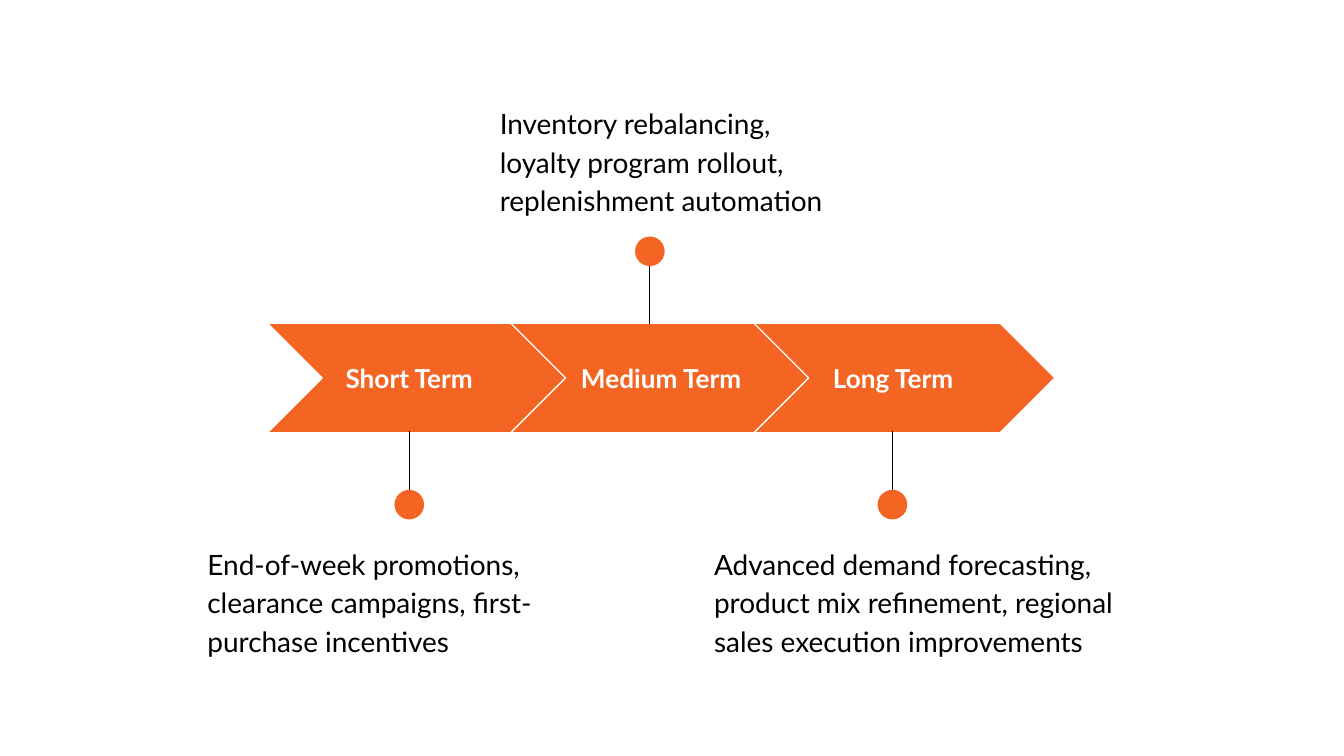
from pptx import Presentation
from pptx.dml.color import RGBColor
from pptx.enum.shapes import MSO_CONNECTOR, MSO_SHAPE
from pptx.enum.text import MSO_ANCHOR, PP_ALIGN
from pptx.oxml.ns import qn
from pptx.util import Pt
from lxml import etree

CHEVRON, OVAL = MSO_SHAPE.CHEVRON, MSO_SHAPE.OVAL
LINE = MSO_CONNECTOR.STRAIGHT
TOP, MIDDLE = MSO_ANCHOR.TOP, MSO_ANCHOR.MIDDLE
LEFT, CENTER = PP_ALIGN.LEFT, PP_ALIGN.CENTER

SCALE = 4572  # EMU per px, 200 px to the inch
ORANGE, WHITE, BLACK = "F46524", "FFFFFF", "000000"
FIRST, STEP = 398, 362
BAND_TOP, BAND_W, BAND_H = 481, 448, 163
DOT = 44

# label, label left, pin centre, pin goes up, note, note box, space after
STAGES = [
    ("Short Term", 465, 609, False,
     "End-of-week promotions, clearance campaigns, first-purchase incentives",
     (289, 787, 536, 216), 16),
    ("Medium Term", 840, 967, True,
     "Inventory rebalancing, loyalty program rollout, replenishment automation",
     (724, 131, 542, 198), 0),
    ("Long Term", 1185, 1328, False,
     "Advanced demand forecasting, product mix refinement, "
     "regional sales execution improvements",
     (1043, 787, 634, 198), 16),
]


def px(*nums):
    return [n * SCALE for n in nums]


def color(code):
    return RGBColor.from_string(code)


def add_form(slide, kind, box, fill, edge=None):
    form = slide.shapes.add_shape(kind, *px(*box))
    form.shadow.inherit = False
    form.fill.solid()
    form.fill.fore_color.rgb = color(fill)
    if edge:
        form.line.color.rgb = color(edge)
        form.line.width = Pt(0.75)
    else:
        form.line.fill.background()


def add_text(slide, box, text, size=15, ink=BLACK, bold=False,
             align=LEFT, anchor=TOP, space=1.0, after=0):
    frame = slide.shapes.add_textbox(*px(*box)).text_frame
    frame.word_wrap = True
    frame.vertical_anchor = anchor
    (frame.margin_left, frame.margin_top,
     frame.margin_right, frame.margin_bottom) = px(20, 20, 20, 20)
    para = frame.paragraphs[0]
    para.alignment = align
    para.line_spacing = space
    para.space_after = Pt(after)
    run = para.add_run()
    run.text = text
    run.font.name = "Lato"
    run.font.size = Pt(size)
    run.font.bold = bold
    run.font.color.rgb = color(ink)


def add_pin(slide, mid, up):
    """Draw a line from the band's edge to a dot centred on mid."""
    start, end, top = (360, 482, 352) if up else (764, 642, 729)
    line = slide.shapes.add_connector(LINE, *px(mid, start, mid, end))
    line.line.color.rgb = color(BLACK)
    line.line.width = Pt(0.75)
    etree.SubElement(line._element.spPr, qn("a:effectLst"))
    add_form(slide, OVAL, (mid - DOT // 2, top, DOT, DOT), ORANGE)


def main():
    deck = Presentation()
    deck.slide_width, deck.slide_height = px(2000, 1125)
    slide = deck.slides.add_slide(deck.slide_layouts[6])
    for i, (label, left, mid, up, note, box, after) in enumerate(STAGES):
        band = (FIRST + i * STEP, BAND_TOP, BAND_W, BAND_H)
        add_form(slide, CHEVRON, band, ORANGE, edge=WHITE)
        add_text(slide, (left, 512, 288, 102), label, size=14, ink=WHITE,
                 bold=True, align=CENTER, anchor=MIDDLE)
        add_pin(slide, mid, up)
        add_text(slide, box, note, space=1.15, after=after)
    deck.save("out.pptx")


if __name__ == "__main__":
    main()
